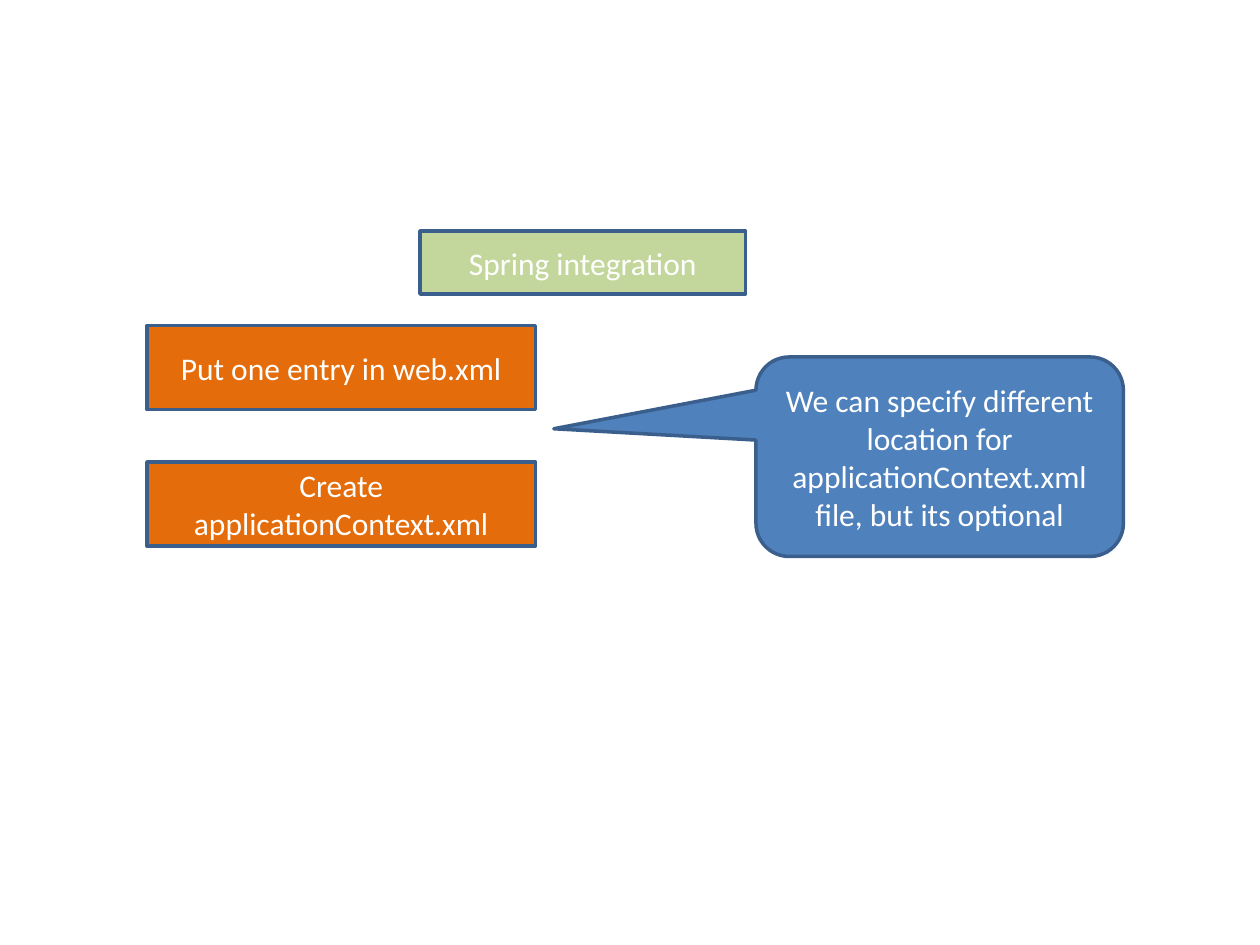
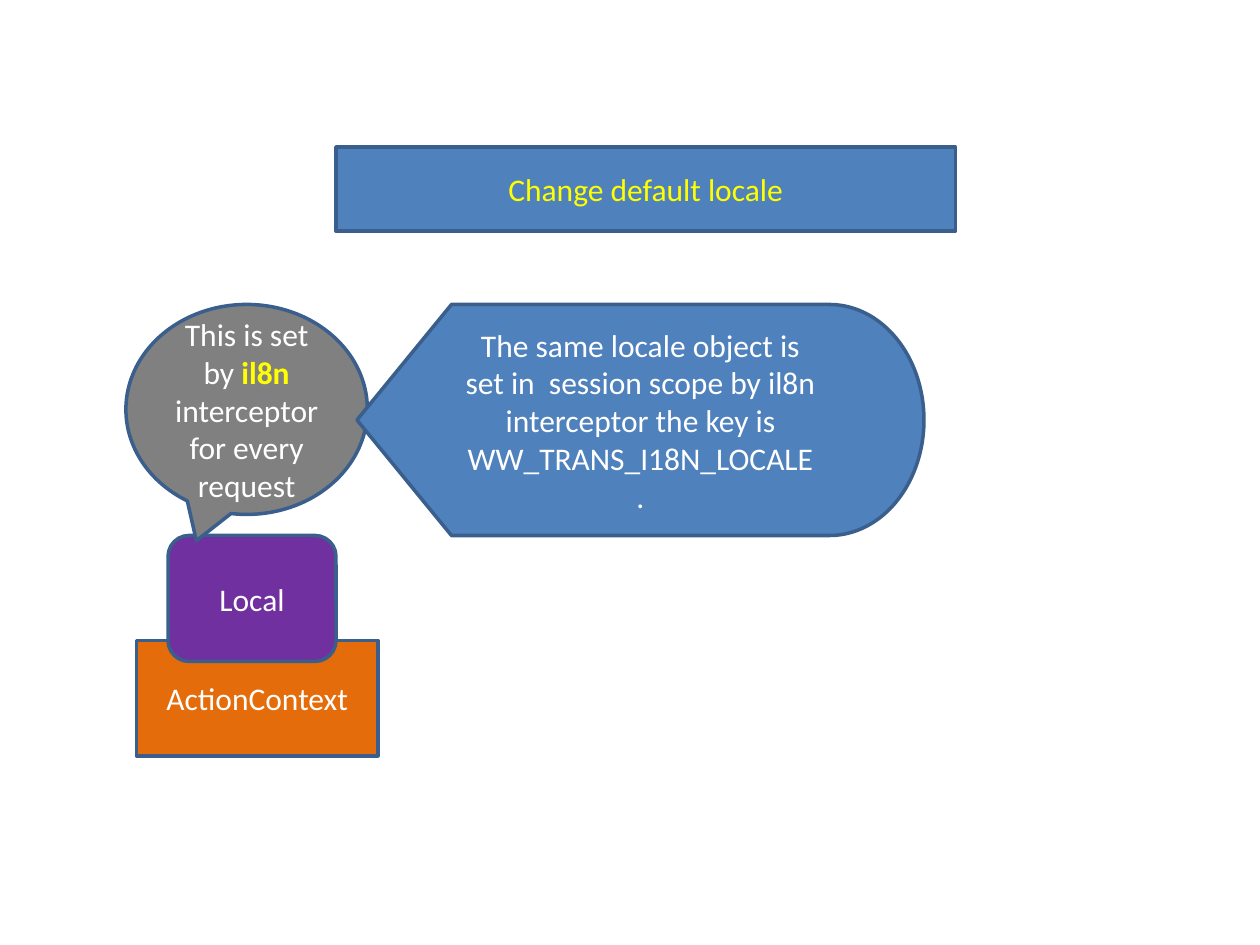
from lxml import etree
from pptx import Presentation
from pptx.dml.color import RGBColor
from pptx.enum.shapes import MSO_SHAPE
from pptx.enum.text import MSO_ANCHOR, MSO_AUTO_SIZE, PP_ALIGN
from pptx.oxml.ns import qn
from pptx.util import Pt

RECT = MSO_SHAPE.RECTANGLE
ROUND = MSO_SHAPE.ROUNDED_RECTANGLE
BUBBLE = MSO_SHAPE.ROUNDED_RECTANGULAR_CALLOUT
OVAL = MSO_SHAPE.OVAL_CALLOUT
SCREEN = MSO_SHAPE.FLOWCHART_DISPLAY
MIDDLE = MSO_ANCHOR.MIDDLE
CENTER = PP_ALIGN.CENTER
NO_FIT = MSO_AUTO_SIZE.NONE

PX = 9525  # EMU per px, 96 px to the inch
FONT = "Calibri"
COLORS = {
    "edge": "3A5F8C",
    "blue": "4F81BD",
    "green": "C3D69B",
    "orange": "E46C0A",
    "purple": "7030A0",
    "gray": "808080",
    "white": "FFFFFF",
    "yellow": "FFFF00",
}


def rgb(name):
    return RGBColor.from_string(COLORS[name])


def write(shape, text, color="white", size=18, bold=False):
    """Add a run to the shape's one centred paragraph."""
    frame = shape.text_frame
    frame.word_wrap = True
    frame.auto_size = NO_FIT
    frame.vertical_anchor = MIDDLE
    para = frame.paragraphs[0]
    para.alignment = CENTER
    run = para.add_run()
    run.text = text
    font = run.font
    font.name, font.size, font.bold = FONT, Pt(size), bold
    font.color.rgb = rgb(color)


def paint(shape, fill):
    shape.fill.solid()
    shape.fill.fore_color.rgb = rgb(fill)
    shape.line.color.rgb = rgb("edge")
    shape.line.width = Pt(2)


def add_box(slide, kind, area, fill, text=""):
    shape = slide.shapes.add_shape(kind, *(n * PX for n in area))
    shape.shadow.inherit = False
    paint(shape, fill)
    if text:
        write(shape, text)
    return shape


def add_slide(deck, title, area, fill, color="white"):
    """Add a slide whose title sits in a rounded, outlined band."""
    slide = deck.slides.add_slide(deck.slide_layouts[5])
    band = slide.shapes.title
    band.left, band.top, band.width, band.height = (n * PX for n in area)
    geom = etree.SubElement(band.element.spPr, qn("a:prstGeom"), prst="roundRect")
    etree.SubElement(geom, qn("a:avLst"))
    paint(band, fill)
    write(band, title, color=color)
    return slide


def build_spring(deck):
    slide = add_slide(deck, "Spring integration", (320, 176, 248, 48), "green")

    # Steps, top to bottom
    steps = ["Put one entry in web.xml", "Create applicationContext.xml"]
    for i, step in enumerate(steps):
        add_box(slide, RECT, (112, 248 + 104 * i, 296, 64), "orange", step)

    # Remark pointing between the steps
    note = add_box(slide, BUBBLE, (576, 272, 280, 152), "blue",
                   "We can specify different location for "
                   "applicationContext.xml file, but its optional")
    note.adjustments[0] = -1.05
    note.adjustments[1] = -0.14


def build_locale(deck):
    slide = add_slide(deck, "Change default locale", (256, 112, 472, 64),
                      "blue", color="yellow")

    # Context with the locale object on top
    add_box(slide, RECT, (104, 488, 184, 88), "orange", "ActionContext")
    add_box(slide, ROUND, (128, 408, 128, 96), "purple", "Local")

    # Who sets the locale
    note = add_box(slide, OVAL, (96, 232, 184, 160), "gray", "This is set by ")
    write(note, "il8n", color="yellow", bold=True)
    write(note, " interceptor for every request")

    # Where else it is kept
    add_box(slide, SCREEN, (272, 232, 432, 176), "blue",
            "The same locale object is set in  session scope by il8n "
            "interceptor the key is WW_TRANS_I18N_LOCALE.")


def main():
    deck = Presentation()
    deck.slide_width, deck.slide_height = 960 * PX, 720 * PX
    build_spring(deck)
    build_locale(deck)
    deck.save("out.pptx")


if __name__ == "__main__":
    main()
